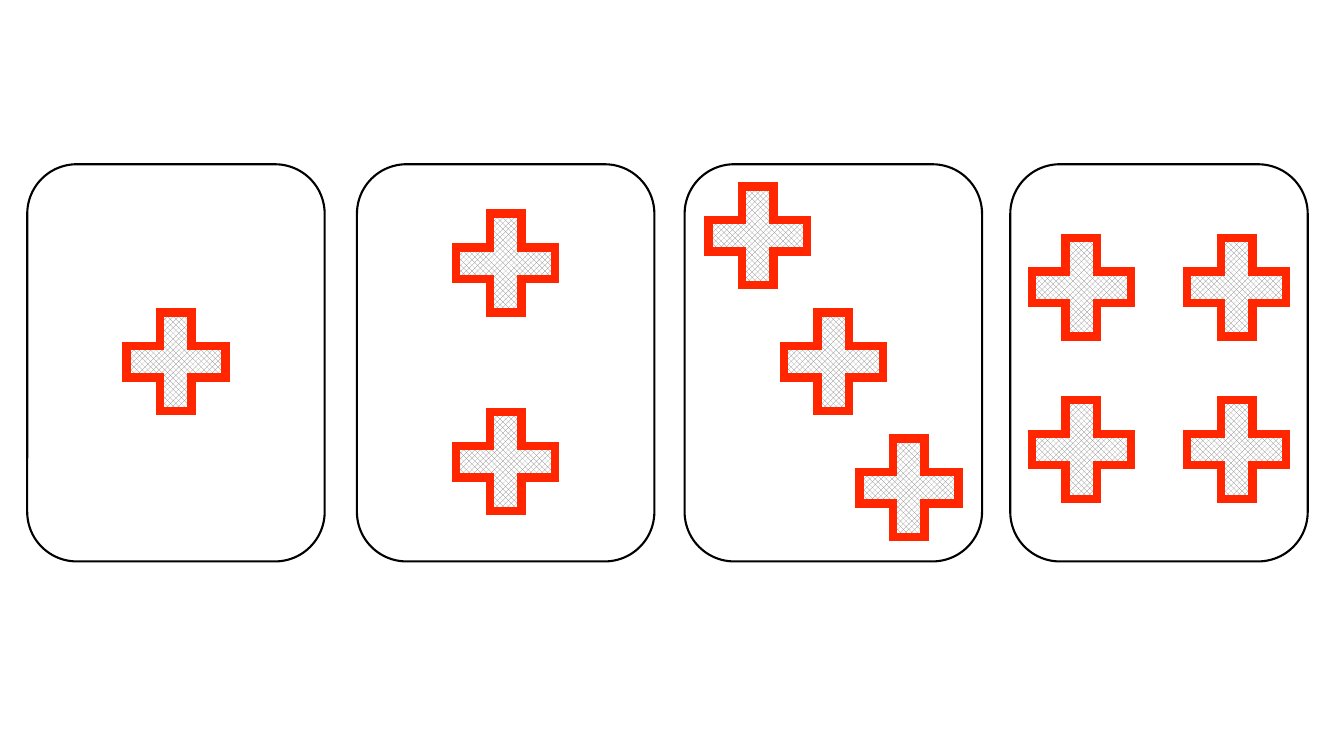
import itertools

import pptx
import pptx.dml.color
import pptx.enum.dml
import pptx.enum.shapes
import pptx.util
from lxml import etree
from pptx.oxml.ns import qn
from pptx.util import Inches


def color(hex_code):
    return pptx.dml.color.RGBColor.from_string(hex_code)


class CardSlide:
    card_width, card_height, card_top = 2.95, 3.94, 1.63
    cross_size = 0.98
    white, black, red, gray = "FFFFFF", "000000", "FF2600", "808080"

    def __init__(self, slide):
        self.slide = slide

    def outlined(self, preset, left, top, width, height, line_color, line_width):
        shape = self.slide.shapes.add_shape(
            preset, Inches(left), Inches(top), Inches(width), Inches(height))
        shape.shadow.inherit = False
        shape.line.color.rgb = color(line_color)
        shape.line.width = pptx.util.Pt(line_width)
        outline = shape.line._get_or_add_ln()
        etree.SubElement(outline, qn("a:miter"), lim="800000")
        return shape

    def card(self, left):
        card = self.outlined(
            pptx.enum.shapes.MSO_SHAPE.ROUNDED_RECTANGLE, left, self.card_top,
            self.card_width, self.card_height, self.black, 1.5)
        card.fill.solid()
        card.fill.fore_color.rgb = color(self.white)

    def cross(self, center_x, center_y):
        half = self.cross_size / 2
        cross = self.outlined(
            pptx.enum.shapes.MSO_SHAPE.CROSS, center_x - half, center_y - half,
            self.cross_size, self.cross_size, self.red, 6)
        cross.adjustments[0] = 0.341
        cross.fill.patterned()
        cross.fill.pattern = pptx.enum.dml.MSO_PATTERN.SOLID_DIAMOND
        cross.fill.fore_color.rgb = color(self.gray)
        cross.fill.back_color.rgb = color(self.white)


def main():
    presentation = pptx.Presentation()
    presentation.slide_width = Inches(13.33)
    presentation.slide_height = Inches(7.5)
    cards = CardSlide(presentation.slides.add_slide(presentation.slide_layouts[6]))

    middle_y = 3.59
    cross_offsets_by_card = {
        0.27: [(0, 0)],
        3.54: [(0, -0.98), (0, 0.99)],
        6.79: [(step * 0.75, step * 1.25) for step in (-1, 0, 1)],
        10.02: list(itertools.product((-0.77, 0.77), (-0.74, 0.87))),
    }
    for card_left, cross_offsets in cross_offsets_by_card.items():
        cards.card(card_left)
        for offset_x, offset_y in cross_offsets:
            cards.cross(card_left + cards.card_width / 2 + offset_x, middle_y + offset_y)

    presentation.save("out.pptx")


if __name__ == "__main__":
    main()
